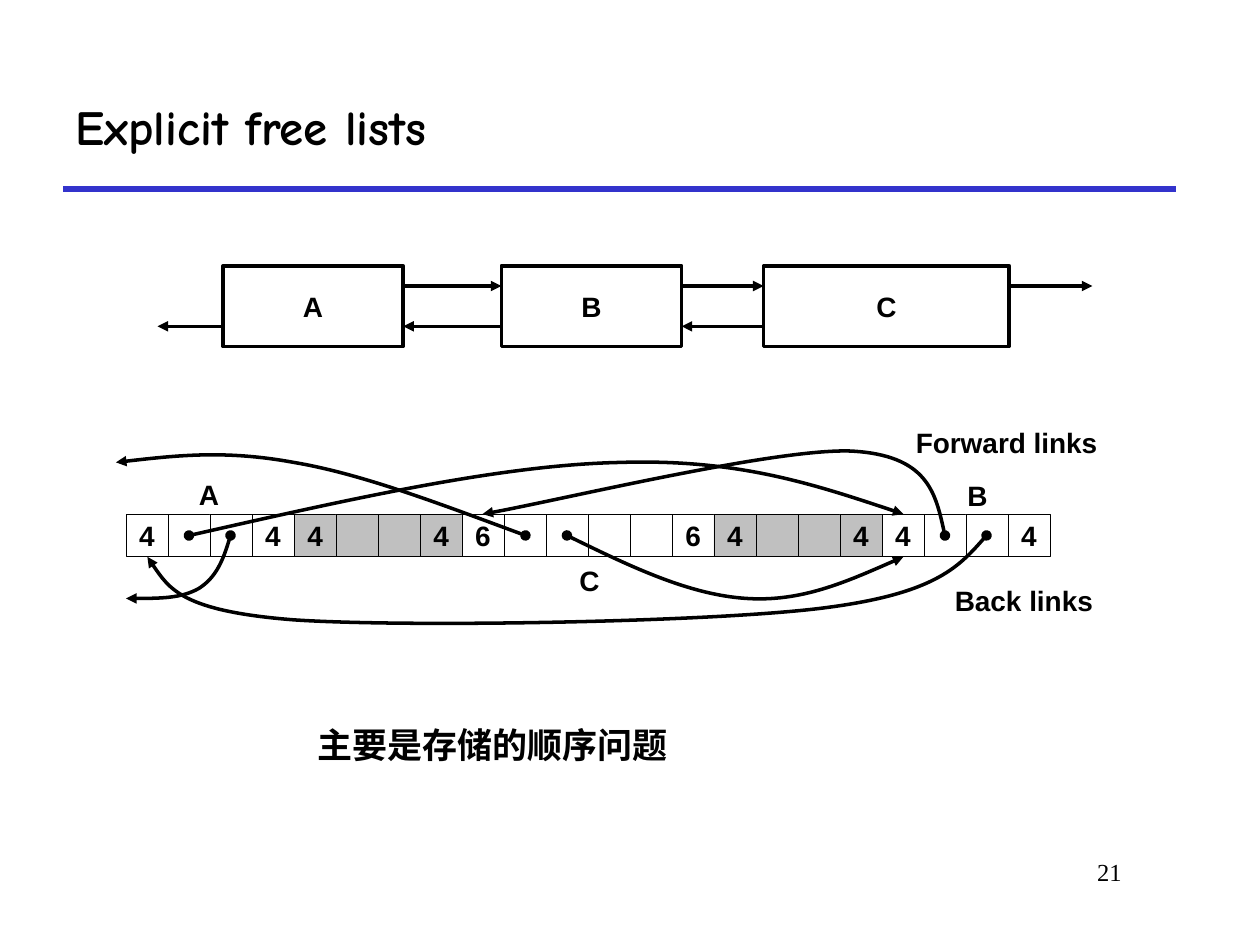
"""Build the slide on explicit free lists."""
from dataclasses import dataclass
from typing import Optional

from lxml import etree
from pptx import Presentation, dml, slide as sl, util as u
from pptx.dml import color
from pptx.enum import shapes, text
from pptx.oxml import ns

Inches, Pt = u.Inches, u.Pt
Point = tuple[float, float]
Align = text.PP_ALIGN
Anchor = text.MSO_ANCHOR


@dataclass(frozen=True)
class Theme:
    ink: str = "000000"
    paper: str = "FFFFFF"
    used: str = "C0C0C0"
    rule: str = "3333CC"
    sans: str = "Arial"
    hand: str = "Comic Neue"
    serif: str = "Times New Roman"
    body: float = 16
    note: float = 20
    head: float = 28
    page: float = 14
    thin: float = 0.25
    bold: float = 2
    thick: float = 3


@dataclass(frozen=True)
class Box:
    x: float
    y: float
    w: float
    h: float
    label: str = ""
    fill: str = Theme.paper
    line: float = Theme.bold


@dataclass(frozen=True)
class Label:
    words: str
    x: float
    y: float
    w: float
    h: float = 0.37
    size: float = Theme.body
    font: str = Theme.sans
    bold: bool = True
    wrap: bool = False
    align: Align = Align.LEFT
    anchor: Anchor = Anchor.TOP


@dataclass(frozen=True)
class Arrow:
    start: Point
    end: Point
    hue: str = Theme.ink
    width: float = Theme.bold
    tail: Optional[str] = "triangle"


@dataclass(frozen=True)
class Link:
    start: Point
    bends: tuple[Point, ...]


def rgb(code: str) -> color.RGBColor:
    return color.RGBColor.from_string(code)


def stroke(line: dml.line.LineFormat, hue: str, width: float) -> None:
    line.color.rgb = rgb(hue)
    line.width = Pt(width)


def tip(shape, end: str, kind: str) -> None:
    line = shape.element.spPr.find(ns.qn("a:ln"))
    etree.SubElement(line, ns.qn(f"a:{end}"), type=kind)


def write(frame, words: str, size: float, font: str, bold: bool, align: Align) -> None:
    para = frame.paragraphs[0]
    para.text = words
    para.alignment = align
    para.font.size = Pt(size)
    para.font.name = font
    para.font.bold = bold
    para.font.color.rgb = rgb(Theme.ink)


def draw_box(page: sl.Slide, box: Box) -> None:
    shape = page.shapes.add_shape(
        shapes.MSO_SHAPE.RECTANGLE,
        Inches(box.x), Inches(box.y), Inches(box.w), Inches(box.h))
    shape.shadow.inherit = False
    shape.fill.solid()
    shape.fill.fore_color.rgb = rgb(box.fill)
    stroke(shape.line, Theme.ink, box.line)
    if box.label:
        frame = shape.text_frame
        frame.word_wrap = False
        frame.vertical_anchor = Anchor.MIDDLE
        write(frame, box.label, Theme.body, Theme.sans, True, Align.CENTER)


def draw_label(page: sl.Slide, label: Label) -> None:
    frame = page.shapes.add_textbox(
        Inches(label.x), Inches(label.y), Inches(label.w), Inches(label.h)).text_frame
    frame.word_wrap = label.wrap
    frame.vertical_anchor = label.anchor
    write(frame, label.words, label.size, label.font, label.bold, label.align)


def draw_arrow(page: sl.Slide, arrow: Arrow) -> None:
    ends = [Inches(n) for n in arrow.start + arrow.end]
    line = page.shapes.add_connector(shapes.MSO_CONNECTOR.STRAIGHT, *ends)
    stroke(line.line, arrow.hue, arrow.width)
    if arrow.tail:
        tip(line, "tailEnd", arrow.tail)
    etree.SubElement(line.element.spPr, ns.qn("a:effectLst"))


def draw_link(page: sl.Slide, link: Link) -> None:
    x, y = link.start
    pen = page.shapes.build_freeform(Inches(x), Inches(y))
    pen.add_line_segments([(Inches(a), Inches(b)) for a, b in link.bends], close=False)
    shape = pen.convert_to_shape()
    legs = list(shape.element.iter(ns.qn("a:lnTo")))
    for first, *rest in zip(legs[::3], legs[1::3], legs[2::3]):
        first.tag = ns.qn("a:cubicBezTo")
        for leg in rest:
            first.append(leg[0])
            leg.getparent().remove(leg)
    shape.shadow.inherit = False
    shape.fill.background()
    stroke(shape.line, Theme.ink, Theme.bold)
    tip(shape, "headEnd", "oval")
    tip(shape, "tailEnd", "triangle")


NODES = [Box(1.77, 2.11, 1.43, 0.64, "A"), Box(3.98, 2.11, 1.43, 0.64, "B"),
         Box(6.06, 2.11, 1.95, 0.64, "C")]
BLOCKS = [(4, False), (4, True), (6, False), (4, True), (4, False)]
CELL = 1 / 3
NEXT, PREV = 2.27, 2.59
LINKS = [
    Link((1.5, 4.25), ((2.74, 3.97), (3.97, 3.69), (4.92, 3.67),
                       (5.86, 3.64), (6.51, 3.86), (7.17, 4.08))),
    Link((7.5, 4.25), ((7.43, 3.93), (7.36, 3.61), (6.75, 3.58),
                       (6.14, 3.56), (4.32, 4), (3.83, 4.08))),
    Link((7.83, 4.25), ((7.62, 4.49), (7.41, 4.72), (6.5, 4.83),
                        (5.58, 4.94), (3.22, 4.98), (2.33, 4.92),
                        (1.44, 4.85), (1.31, 4.63), (1.17, 4.42))),
    Link((4.5, 4.25), ((4.99, 4.49), (5.47, 4.72), (5.92, 4.75),
                       (6.36, 4.78), (6.76, 4.6), (7.17, 4.42))),
    Link((4.17, 4.25), ((3.52, 4.01), (2.87, 3.76), (2.33, 3.67),
                        (1.79, 3.57), (1.35, 3.62), (0.92, 3.67))),
    Link((1.83, 4.25), ((1.78, 4.42), (1.72, 4.58), (1.58, 4.67),
                        (1.44, 4.75), (1.22, 4.75), (1, 4.75))),
]
LABELS = [
    Label("21", 7.58, 6.75, 1.42, 0.5, Theme.page, Theme.serif, False, True, Align.RIGHT),
    Label("Explicit free lists", 0.5, 0.5, 8.83, 1, Theme.head, Theme.hand,
          wrap=True, anchor=Anchor.MIDDLE),
    Label("Forward links", 7.17, 3.33, 1.65),
    Label("Back links", 7.48, 4.58, 1.3),
    Label("A", 1.48, 3.74, 0.36),
    Label("B", 7.58, 3.75, 0.36),
    Label("C", 4.5, 4.42, 0.36),
    Label("主要是存储的顺序问题", 2.42, 5.69, 2.99, 0.44, Theme.note, Theme.hand),
]


def draw_list(page: sl.Slide) -> None:
    for node in NODES:
        draw_box(page, node)
    lefts = [node.x for node in NODES]
    rights = [node.x + node.w for node in NODES]
    for start, end in zip(rights, lefts[1:] + [8.67]):
        draw_arrow(page, Arrow((start, NEXT), (end, NEXT)))
    for start, end in zip(lefts, [1.25] + rights):
        draw_arrow(page, Arrow((start, PREV), (end, PREV)))


def draw_heap(page: sl.Slide) -> None:
    spot = 0
    for size, used in BLOCKS:
        fill = Theme.used if used else Theme.paper
        for i in range(size):
            tag = str(size) if i in (0, size - 1) else ""
            draw_box(page, Box(1 + spot * CELL, 4.08, CELL, CELL, tag, fill, Theme.thin))
            spot += 1
    for link in LINKS:
        draw_link(page, link)


def main() -> None:
    deck = Presentation()
    deck.slide_width, deck.slide_height = Inches(10), Inches(7.5)
    page = deck.slides.add_slide(deck.slide_layouts[6])
    draw_arrow(page, Arrow((0.5, 1.5), (9.33, 1.5), Theme.rule, Theme.thick, None))
    draw_list(page)
    draw_heap(page)
    for label in LABELS:
        draw_label(page, label)
    deck.save("out.pptx")


if __name__ == "__main__":
    main()
